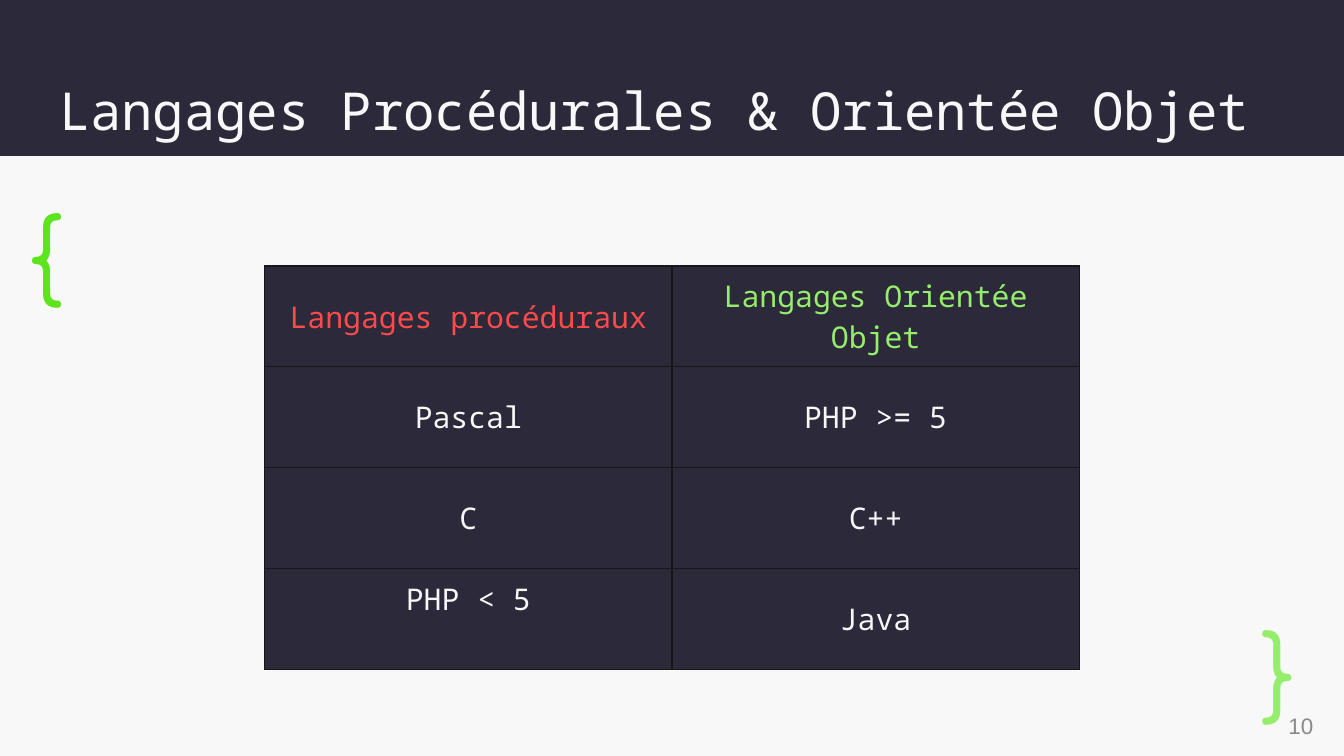
import pptx
import pptx.util
import pptx.dml.color
import pptx.enum.shapes
import pptx.enum.text
import pptx.oxml

Inches, Pt = pptx.util.Inches, pptx.util.Pt
RGB = pptx.dml.color.RGBColor.from_string
ALIGN, ANCHOR = pptx.enum.text.PP_ALIGN, pptx.enum.text.MSO_ANCHOR
C = {"dark": "2C293A", "light": "F8F8F8", "red": "FD4A4A", "lime": "94EE6B",
     "green": "5CE51D", "gray": "898989", "border": "171717"}
MONO = "Noto Sans Mono"


def write(tf, text, size, font, color, align=ALIGN.LEFT):
    p = tf.paragraphs[0]
    p.alignment = align
    r = p.add_run()
    r.text = text
    r.font.size, r.font.name = Pt(size), font
    r.font.color.rgb = RGB(C[color])


def set_borders(cell):
    tcPr = cell._tc.get_or_add_tcPr()
    for i, side in enumerate(("lnL", "lnR", "lnT", "lnB")):
        ln = pptx.oxml.parse_xml(
            f'<a:{side} xmlns:a="http://schemas.openxmlformats.org/drawingml/2006/main" '
            f'w="{Pt(0.75)}"><a:solidFill><a:srgbClr val="{C["border"]}"/>'
            f'</a:solidFill></a:{side}>')
        tcPr.insert(i, ln)


prs = pptx.Presentation()
prs.slide_width = Inches(10)
prs.slide_height = prs.slide_width * 9 // 16
s = prs.slides.add_slide(prs.slide_layouts[5])
s.background.fill.solid()
s.background.fill.fore_color.rgb = RGB(C["light"])

band = s.shapes.add_shape(pptx.enum.shapes.MSO_SHAPE.RECTANGLE,
                          0, 0, prs.slide_width, Inches(1.16))
band.shadow.inherit = False
band.fill.solid()
band.fill.fore_color.rgb = RGB(C["dark"])
band.line.fill.background()

title = s.shapes.title
title._element.addprevious(band._element)
title.left, title.top = Inches(0.11), Inches(0.5)
title.width, title.height = Inches(9.89), Inches(0.63)
tf = title.text_frame
tf.auto_size = pptx.enum.text.MSO_AUTO_SIZE.NONE
tf.vertical_anchor = ANCHOR.MIDDLE
tf.margin_left = Inches(0.33)
tf.margin_top = tf.margin_bottom = Inches(0.1)
write(tf, "Langages Procédurales & Orientée Objet", 28, MONO, "light")

rows = [("Langages procéduraux", "Langages Orientée Objet"),
        ("Pascal", "PHP >= 5"),
        ("C", "C++"),
        ("PHP < 5", "Java")]
col_w, row_h = Inches(3.03), Inches(0.75)
table = s.shapes.add_table(len(rows), 2, Inches(1.97), Inches(1.98),
                           2 * col_w, len(rows) * row_h).table
table.horz_banding = False
for i, row in enumerate(rows):
    for j, text in enumerate(row):
        cell = table.cell(i, j)
        cell.vertical_anchor = ANCHOR.MIDDLE
        cell.margin_top = cell.margin_bottom = Inches(0.07)
        cell.fill.solid()
        cell.fill.fore_color.rgb = RGB(C["dark"])
        set_borders(cell)
        color = ("red", "lime")[j] if i == 0 else "light"
        write(cell.text_frame, text, 16, MONO, color, ALIGN.CENTER)
table.cell(3, 0).margin_bottom = Inches(0.37)

labels = [("{", 0.11, 1.34, 0.77, 0.95, 50, "Comfortaa", "green"),
          ("}", 9.29, 4.44, 0.57, 0.83, 50, "Comfortaa", "lime"),
          ("10", 9.29, 5.25, 0.58, 0.3, 12, "Arial", "gray")]
for text, x, y, w, h, size, font, color in labels:
    sp = s.shapes.add_textbox(Inches(x), Inches(y), Inches(w), Inches(h))
    tf = sp.text_frame
    tf.word_wrap = True
    number = text.isdigit()
    tf.margin_top = tf.margin_bottom = Inches(0.05 if number else 0.1)
    tf.vertical_anchor = ANCHOR.MIDDLE if number else ANCHOR.TOP
    write(tf, text, size, font, color, ALIGN.RIGHT if number else ALIGN.LEFT)

prs.save("out.pptx")
